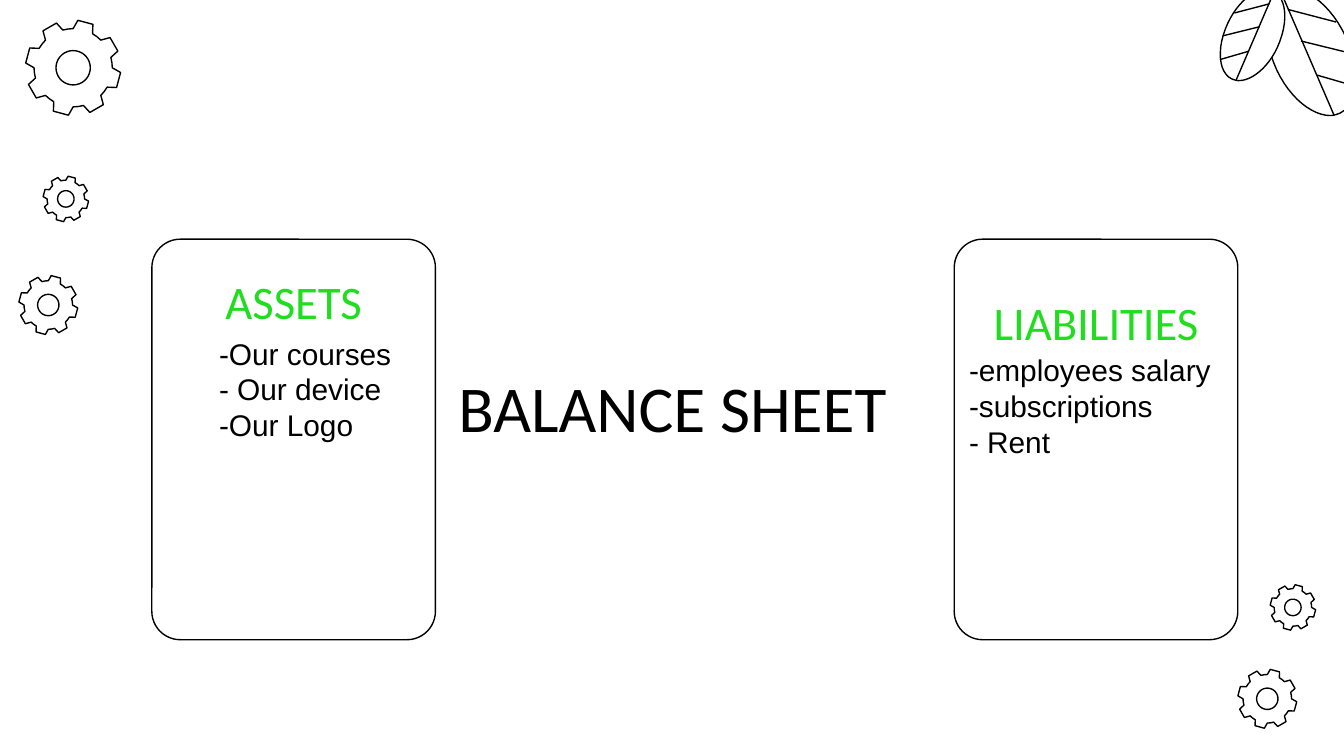
from math import cos, radians, sin

from pptx import Presentation
from pptx.dml.color import RGBColor
from pptx.enum.shapes import MSO_CONNECTOR as Conn, MSO_SHAPE as Shape
from pptx.enum.text import MSO_ANCHOR as Anchor, MSO_AUTO_SIZE as AutoSize, PP_ALIGN as Align
from pptx.oxml.ns import qn
from pptx.util import Inches, Pt

BLACK, WHITE, GREEN = "000000", "FFFFFF", "20DD20"
LEAF_START = (0.69, 1)
LEAF_CURVES = [
    [(0.72, 1), (0.76, 0.99), (0.79, 0.98)],
    [(0.97, 0.91), (1, 0.64), (0.84, 0.37)],
    [(0.71, 0.15), (0.49, 0), (0.31, 0)],
    [(0.28, 0), (0.24, 0.01), (0.21, 0.02)],
    [(0.03, 0.1), (0, 0.36), (0.16, 0.64)],
    [(0.29, 0.86), (0.51, 1), (0.69, 1)],
]
LEAF_VEINS = [
    [(0.27, 0.16), (0.75, 0.26)],
    [(0.4, 0.41), (0.91, 0.51)],
    [(0.56, 0.68), (0.95, 0.77)],
    [(0.73, 1), (0.2, 0.02)],
]


def color(value):
    return RGBColor.from_string(value)


def outline(sp, fill=None):
    sp.shadow.inherit = False
    if fill:
        sp.fill.solid()
        sp.fill.fore_color.rgb = color(fill)
    else:
        sp.fill.background()
    sp.line.color.rgb = color(BLACK)
    sp.line.width = Pt(0.75)


def freeform(shapes, contours, fill=None):
    builder = None
    for contour in contours:
        first, *rest = [(Inches(x), Inches(y)) for x, y in contour]
        if builder is None:
            builder = shapes.build_freeform(*first)
        else:
            builder.move_to(*first)
        builder.add_line_segments(rest, close=True)
    outline(builder.convert_to_shape(), fill)


def gear(shapes, x, y, size):
    def at(radius, angle):
        a = radians(angle)
        return x + size * (0.5 + radius * cos(a)), y + size * (0.5 + radius * sin(a))

    tooth = [(0.41, 29.7), (0.5, 24.5), (0.5, 5.7), (0.41, 0), (0.41, -7.6)]
    rim = [at(r, a - 45 * k) for k in range(8) for r, a in tooth]
    hole = [at(0.18, a) for a in range(0, 360, 10)]
    freeform(shapes, [rim, hole])


def bezier(p0, p1, p2, p3, steps=12):
    for i in range(1, steps + 1):
        t = i / steps
        weights = ((1 - t) ** 3, 3 * t * (1 - t) ** 2, 3 * t * t * (1 - t), t ** 3)
        yield tuple(sum(w * p[axis] for w, p in zip(weights, (p0, p1, p2, p3)))
                    for axis in (0, 1))


def leaf(shapes, x, y, w, h, mirrored=False):
    def at(point):
        u, v = point
        return x + w * (1 - u if mirrored else u), y + h * v

    group = shapes.add_group_shape().shapes
    edge = [LEAF_START]
    for curve in LEAF_CURVES:
        edge.extend(bezier(edge[-1], *curve))
    freeform(group, [[at(p) for p in edge]], WHITE)
    for vein in LEAF_VEINS:
        ends = [Inches(n) for p in vein for n in at(p)]
        line = group.add_connector(Conn.STRAIGHT, *ends)
        line.line.color.rgb = color(BLACK)
        line.line.width = Pt(0.75)
        sp_pr = line._element.spPr
        sp_pr.append(sp_pr.makeelement(qn("a:effectLst"), {}))


def write(sp, box, lines, size, font, rgb, align, indent=0, bottom=0):
    sp._element.getparent().append(sp._element)
    sp.left, sp.top, sp.width, sp.height = map(Inches, box)
    tf = sp.text_frame
    tf.word_wrap = True
    tf.auto_size = AutoSize.NONE
    tf.vertical_anchor = Anchor.MIDDLE
    tf.margin_left = tf.margin_right = tf.margin_top = 0
    tf.margin_bottom = Inches(bottom)
    for i, text in enumerate(lines):
        p = tf.add_paragraph() if i else tf.paragraphs[0]
        pPr = p._p.get_or_add_pPr()
        pPr.set("marL", str(Inches(indent)))
        pPr.set("indent", "0")
        pPr.append(pPr.makeelement(qn("a:buNone"), {}))
        p.alignment = align
        p.line_spacing = 1.0
        p.space_before = Pt(0)
        r = p.add_run()
        r.text = text
        r.font.size, r.font.name, r.font.bold = Pt(size), font, False
        r.font.color.rgb = color(rgb)


def card(slide, x, y, w, h, heading, heading_top, items, items_box, idx, **layout):
    sp = slide.shapes.add_shape(Shape.ROUNDED_RECTANGLE, *map(Inches, (x, y, w, h)))
    sp.adjustments[0] = 0.1
    outline(sp, WHITE)
    holders = slide.placeholders
    write(holders[idx], (x + 0.21, y + heading_top, 1.69, 0.53), [heading],
          25, "Calibri", GREEN, Align.CENTER)
    dx, dy, iw, ih = items_box
    write(holders[idx + 1], (x + dx, y + dy, iw, ih), items,
          16, "Arial", BLACK, Align.LEFT, **layout)


def decoration(shapes):
    for box in [(0.14, 2.05, 0.44), (0.32, 1.31, 0.34), (0.19, 0.15, 0.71),
                (9.21, 4.98, 0.44), (9.45, 4.35, 0.34)]:
        gear(shapes, *box)
    leaf(shapes, 9.38, -0.08, 0.75, 0.94)
    leaf(shapes, 9.05, -0.08, 0.54, 0.68, mirrored=True)


def main():
    prs = Presentation()
    prs.slide_width = Inches(10)
    prs.slide_height = prs.slide_width * 9 // 16
    slide = prs.slides.add_slide(prs.slide_layouts.get_by_name("Comparison"))
    decoration(slide.shapes)
    card(slide, 7.1, 1.78, 2.11, 2.98, "LIABILITIES", 0.35,
         ["-employees salary", "-subscriptions", "- Rent"],
         (0.11, 0.82, 2.18, 0.84), 3)
    card(slide, 1.13, 1.78, 2.11, 2.98, "ASSETS", 0.19,
         ["-Our courses", "- Our device", "-Our Logo"],
         (0.07, 0.72, 1.97, 1.03), 1, indent=0.43, bottom=0.24)
    write(slide.shapes.title, (0.79, 2.71, 8.43, 0.63), ["BALANCE SHEET"],
          35, "Calibri", BLACK, Align.CENTER)
    prs.save("out.pptx")


if __name__ == "__main__":
    main()
